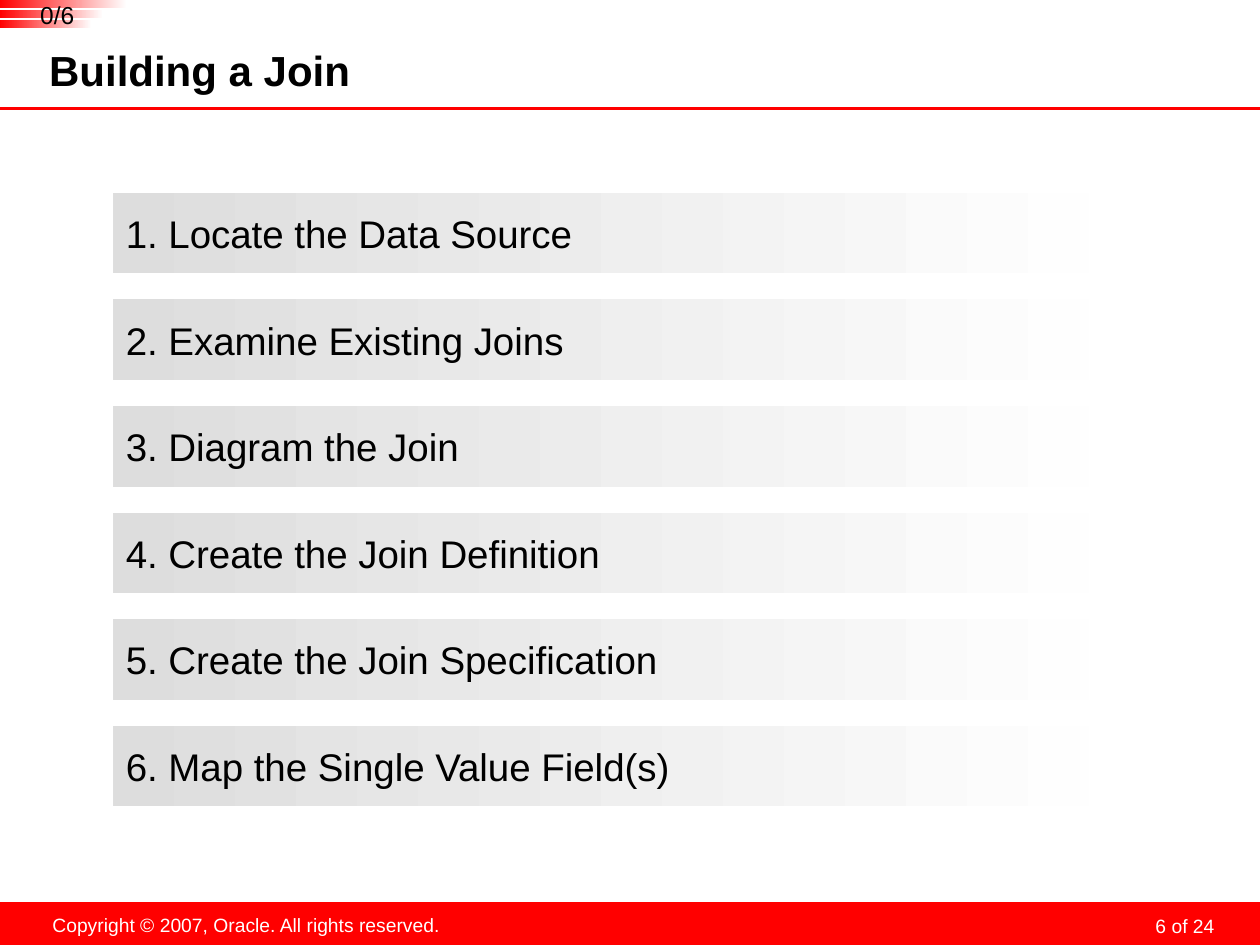
from dataclasses import dataclass

from lxml.etree import SubElement
from pptx import Presentation
from pptx.dml.color import RGBColor
from pptx.enum.shapes import MSO_CONNECTOR, MSO_SHAPE
from pptx.enum.text import MSO_ANCHOR, MSO_AUTO_SIZE, PP_ALIGN
from pptx.oxml.ns import qn
from pptx.util import Inches, Pt


@dataclass(frozen=True)
class Theme:
    font: str = "Arial"
    red: str = "FF0000"
    white: str = "FFFFFF"
    black: str = "000000"
    pale: str = "FEFEFE"
    gray: str = "DDDDDD"
    head: int = 24
    step: int = 22
    count: int = 14
    foot: int = 11


def unit(n):
    """Columns and rows of the grid are a tenth of an inch."""
    return Inches(n / 10)


def put(shape, text, size, color, bold=False, align=PP_ALIGN.LEFT, lead=None,
        pad=(0, 0, 0, 0), anchor=MSO_ANCHOR.TOP, wrap=True):
    frame = shape.text_frame
    frame.auto_size = MSO_AUTO_SIZE.NONE
    frame.word_wrap = wrap
    frame.vertical_anchor = anchor
    (frame.margin_left, frame.margin_top,
     frame.margin_right, frame.margin_bottom) = map(unit, pad)
    frame.text = text
    para = frame.paragraphs[0]
    para.alignment = align
    if lead:
        para.line_spacing = Pt(lead)
    font = para.runs[0].font
    font.name, font.size, font.bold = Theme.font, Pt(size), bold
    font.color.rgb = RGBColor.from_string(color)


class Page:
    def __init__(self, deck, look):
        self.look = look
        self.slide = deck.slides.add_slide(deck.slide_layouts[5])
        self.shapes = self.slide.shapes

    def title(self, text, *box):
        head = self.shapes.title
        head.left, head.top, head.width, head.height = map(unit, box)
        put(head, text, self.look.head, self.look.black, bold=True,
            pad=(0, 0, 0.5, 0.5), anchor=MSO_ANCHOR.MIDDLE)

    def bar(self, *box, fill, fade=None, kind=MSO_SHAPE.RECTANGLE, host=None):
        """A plain bar, or one that fades out to the right."""
        bar = (host or self).shapes.add_shape(kind, *map(unit, box))
        bar.shadow.inherit = False
        bar.line.fill.background()
        if fade:
            bar.fill.gradient()
            bar.fill.gradient_angle = 180
            for stop, tone in zip(bar.fill.gradient_stops, (fade, fill)):
                stop.color.rgb = RGBColor.from_string(tone)
        else:
            bar.fill.solid()
            bar.fill.fore_color.rgb = RGBColor.from_string(fill)
        return bar

    def label(self, text, *box, size, color, host=None, **style):
        note = (host or self).shapes.add_textbox(*map(unit, box))
        put(note, text, size, color, **style)

    def rule(self, left, right, top, color, width):
        line = self.shapes.add_connector(
            MSO_CONNECTOR.STRAIGHT, *map(unit, (left, top, right, top)))
        line.line.color.rgb = RGBColor.from_string(color)
        line.line.width = Pt(width)
        SubElement(line._element.spPr, qn("a:effectLst"))

    def group(self):
        return self.shapes.add_group_shape()


def main():
    deck = Presentation()
    deck.slide_width, deck.slide_height = unit(100), unit(75)
    look = Theme()
    page = Page(deck, look)

    # Footer band
    page.bar(0, 71.6, 100, 3.4, fill=look.red)
    page.label("6 of 24", 73.6, 71.9, 23.3, 2.5, size=look.foot,
               color=look.white, align=PP_ALIGN.RIGHT, lead=18,
               pad=(0.5, 0, 0.5, 0))
    page.label("Copyright © 2007, Oracle. All rights reserved.",
               3.1, 72, 32.9, 2.9, size=look.foot, color=look.white,
               align=PP_ALIGN.CENTER, pad=(1, 0.5, 1, 0.5), wrap=False)

    # Heading
    page.rule(0, 100, 8.6, look.red, 1.75)
    page.title("Building a Join", 3.9, 3.8, 78.7, 4)

    # Progress mark in the corner
    mark = page.group()
    for row, width in enumerate((10.1, 8.2, 7.3)):
        strip = page.bar(0, row * 0.8, width, 0.65, fill=look.red,
                         fade=look.white, kind=MSO_SHAPE.ROUNDED_RECTANGLE,
                         host=mark)
        strip.adjustments[0] = 0
    page.label("0/6", 2, 0, 5.1, 2.3, size=look.count, color=look.black,
               align=PP_ALIGN.CENTER, host=mark)

    # Numbered steps
    steps = ("Locate the Data Source", "Examine Existing Joins",
             "Diagram the Join", "Create the Join Definition",
             "Create the Join Specification", "Map the Single Value Field(s)")
    for row, step in enumerate(steps):
        bar = page.bar(9, 15.3 + row * 8.46, 77.4, 6.4,
                       fill=look.gray, fade=look.pale)
        put(bar, f"{row + 1}. {step}", look.step, look.black,
            pad=(1, 0.5, 1, 0.5), anchor=MSO_ANCHOR.MIDDLE, wrap=False)

    deck.save("out.pptx")


if __name__ == "__main__":
    main()
